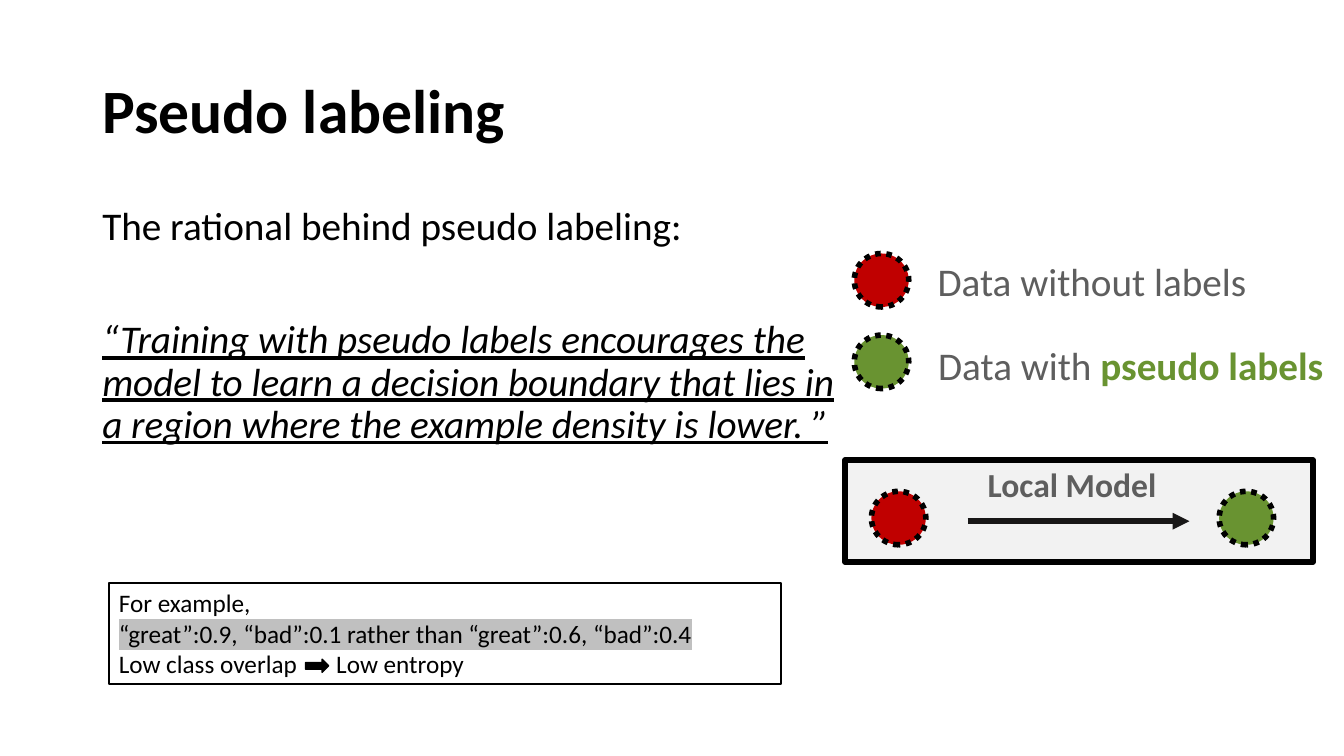
from lxml import etree
from pptx import Presentation
from pptx.dml.color import RGBColor
from pptx.enum import dml, shapes, text
from pptx.oxml import ns
from pptx.util import Pt

BLACK, GREY, RED, GREEN = "000000", "5E5E5E", "C00000", "699331"
LABEL_INSETS = (2.16, 2.16)


def rgb(value):
    return RGBColor.from_string(value)


def format_run(r, size, color=BLACK, bold=False, italic=False):
    r.font.name = "Calibri"
    r.font.size = Pt(size)
    r.font.color.rgb = rgb(color)
    r.font.bold = bold
    r.font.italic = italic
    r.font.underline = italic


def highlight(r, color):
    fill = r.font._element.find(ns.qn("a:solidFill"))
    mark = etree.Element(ns.qn("a:highlight"))
    etree.SubElement(mark, ns.qn("a:srgbClr"), val=color)
    fill.addnext(mark)


def add_tab_stop(p, position):
    tabs = etree.SubElement(p._p.get_or_add_pPr(), ns.qn("a:tabLst"))
    etree.SubElement(tabs, ns.qn("a:tab"), pos=str(Pt(position)), algn="l")


def add_text(s, box, lines, size, color=BLACK, bold=False,
             anchor=text.MSO_ANCHOR.MIDDLE, insets=(7.2, 3.6), wrap=True):
    tf = s.shapes.add_textbox(*map(Pt, box)).text_frame
    tf.word_wrap = wrap
    tf.vertical_anchor = anchor
    tf.margin_left = tf.margin_right = Pt(insets[0])
    tf.margin_top = tf.margin_bottom = Pt(insets[1])
    tf.text = lines
    for p in tf.paragraphs:
        for r in p.runs:
            format_run(r, size, color, bold)
    return tf


def add_shape(s, kind, box, fill, width, dash=None, rotation=0):
    sp = s.shapes.add_shape(kind, *map(Pt, box))
    sp.shadow.inherit = False
    sp.rotation = rotation
    if fill:
        sp.fill.solid()
        sp.fill.fore_color.rgb = rgb(fill)
    else:
        sp.fill.background()
    sp.line.color.rgb = rgb(BLACK)
    sp.line.width = Pt(width)
    if dash:
        sp.line.dash_style = dash
    return sp


def add_data_point(s, left, top, color):
    add_shape(s, shapes.MSO_SHAPE.OVAL, (left, top, 38.2, 38.9), color, 4,
              dml.MSO_LINE.ROUND_DOT, 270)


def add_arrow(s, x1, x2, y):
    line = s.shapes.add_connector(
        shapes.MSO_CONNECTOR.STRAIGHT, Pt(x1), Pt(y), Pt(x2), Pt(y))
    line.line.color.rgb = rgb("181717")
    line.line.width = Pt(4)
    etree.SubElement(line.line._get_or_add_ln(), ns.qn("a:tailEnd"), type="triangle")
    etree.SubElement(line._element.spPr, ns.qn("a:effectLst"))


def add_rationale(s):
    tf = add_text(
        s, (66, 144, 537, 222),
        "The rational behind pseudo labeling:\n"
        "“Training with pseudo labels encourages the model to learn a decision "
        "boundary that lies in a region where the example density is lower. ”",
        28, anchor=text.MSO_ANCHOR.TOP)
    for p in tf.paragraphs:
        p.line_spacing = 0.9
    quote = tf.paragraphs[1]
    quote.space_before = Pt(50.8)
    format_run(quote.runs[0], 28, italic=True)


def add_legend(s):
    add_data_point(s, 610.6, 180.7, RED)
    add_text(s, (667.6, 181.4, 277, 38.2), "Data without labels", 28, GREY,
             insets=LABEL_INSETS)
    add_data_point(s, 610.6, 239, GREEN)
    tf = add_text(s, (668, 241.2, 293, 38.2), "Data with ", 28, GREY,
                  insets=LABEL_INSETS)
    r = tf.paragraphs[0].add_run()
    r.text = "pseudo labels"
    format_run(r, 28, GREEN, bold=True)


def add_model(s):
    add_shape(s, shapes.MSO_SHAPE.RECTANGLE, (603.7, 328.7, 334.1, 72.7), "F2F2F2", 4.25)
    add_arrow(s, 691.2, 849.6, 372.3)
    tf = add_text(s, (702.7, 329, 126, 33.1), "Local Model", 24, GREY, bold=True,
                  insets=LABEL_INSETS, wrap=False)
    tf.paragraphs[0].alignment = text.PP_ALIGN.CENTER
    add_data_point(s, 622.8, 350.6, RED)
    add_data_point(s, 871.2, 350.6, GREEN)


def add_example(s):
    box = (77.8, 416.2, 480.2, 72.7)
    add_shape(s, shapes.MSO_SHAPE.RECTANGLE, box, None, 1.5)
    tf = add_text(
        s, box,
        "For example,\n"
        "“great”:0.9, “bad”:0.1 rather than “great”:0.6, “bad”:0.4\n"
        "Low class overlap\tLow entropy",
        18, anchor=text.MSO_ANCHOR.TOP)
    highlight(tf.paragraphs[1].runs[0], "C0C0C0")
    add_tab_stop(tf.paragraphs[2], 155.3)
    add_shape(s, shapes.MSO_SHAPE.RIGHT_ARROW, (218.2, 470.9, 16.6, 9.4), BLACK, 1)


def main():
    prs = Presentation()
    prs.slide_width, prs.slide_height = Pt(960), Pt(540)
    s = prs.slides.add_slide(prs.slide_layouts[6])
    title = add_text(s, (66, 28.8, 828, 104.4), "Pseudo labeling", 44, bold=True)
    title.paragraphs[0].line_spacing = 0.9
    add_rationale(s)
    add_legend(s)
    add_model(s)
    add_example(s)
    prs.save("out.pptx")


if __name__ == "__main__":
    main()
